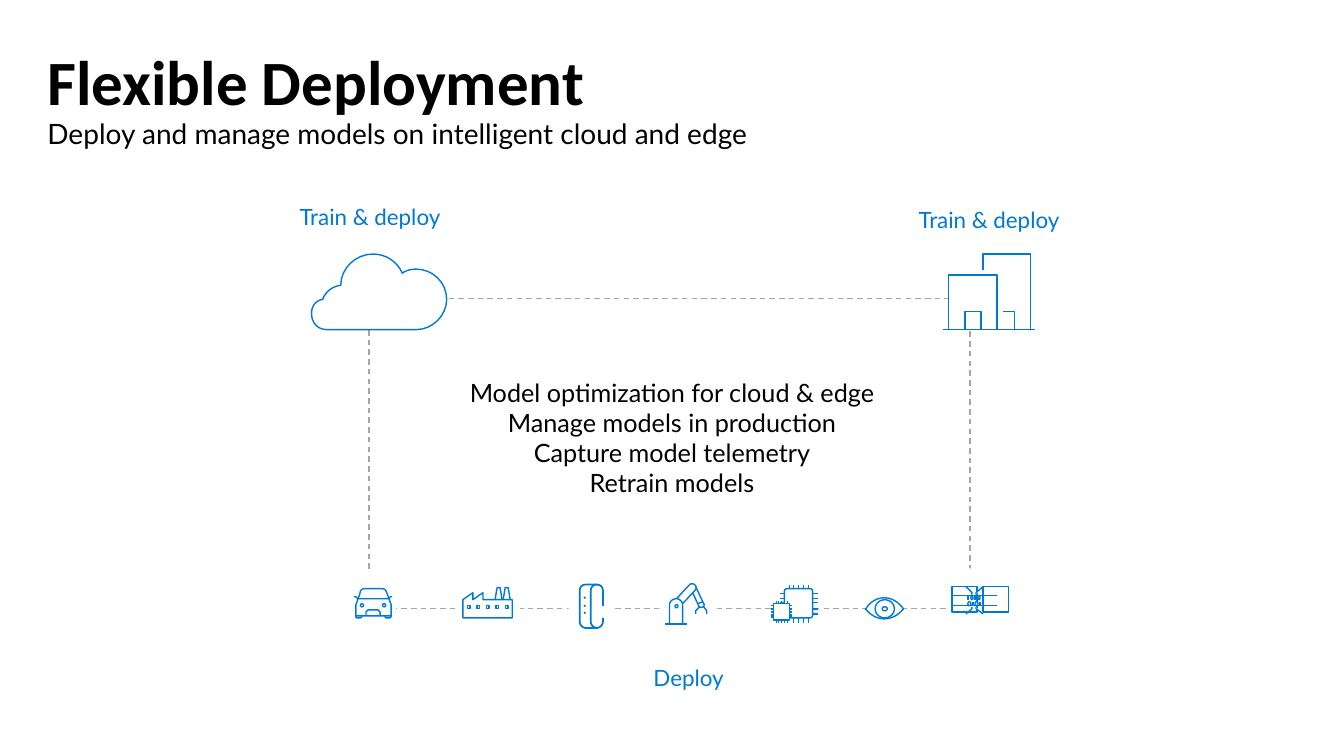
from dataclasses import dataclass

from pptx import Presentation
from pptx.dml.color import RGBColor
from pptx.enum.dml import MSO_LINE
from pptx.enum.shapes import MSO_SHAPE
from pptx.enum.text import MSO_ANCHOR, PP_ALIGN
from pptx.util import Inches, Pt


@dataclass(frozen=True)
class Theme:
    ink: RGBColor = RGBColor(0x00, 0x00, 0x00)
    paper: RGBColor = RGBColor(0xFF, 0xFF, 0xFF)
    accent: RGBColor = RGBColor(0x00, 0x78, 0xD4)
    dashes: RGBColor = RGBColor(0xA5, 0xA5, 0xA5)
    title_font: str = "Calibri"
    body_font: str = "Lato"
    title_size: int = 45
    subtitle_size: int = 20
    benefit_size: int = 18
    label_size: int = 16


THEME = Theme()

TITLE = "Flexible Deployment"
SUBTITLE = "Deploy and manage models on intelligent cloud and edge"
BENEFITS = [
    "Model optimization for cloud & edge",
    "Manage models in production",
    "Capture model telemetry",
    "Retrain models",
]
# text, (left, top, width, height) in inches
LABELS = [
    ("Train & deploy", (2.92, 2.02, 1.5, 0.27)),
    ("Train & deploy", (9.06, 2.05, 1.5, 0.27)),
    ("Deploy", (6.46, 6.59, 0.74, 0.27)),
]

DEPLOYMENT_LOOP = (3.66, 2.96, 5.96, 3.08)
# White clearings that interrupt the loop behind the device icons
CLEARINGS = [
    (3.48, 5.68, 0.45, 0.75),
    (4.55, 5.74, 0.61, 0.44),
    (5.64, 5.68, 0.46, 0.59),
    (6.54, 5.81, 0.55, 0.40),
    (8.62, 5.92, 0.33, 0.21),
    (9.39, 5.64, 0.39, 0.76),
]


# Outlines use M, L, C and Z commands, in hundredths of an inch.
def box(x, y, width, height):
    return f"M {x} {y} L {x + width} {y} L {x + width} {y + height} L {x} {y + height} Z "


def oval(cx, cy, rx, ry):
    kx, ky = 0.55 * rx, 0.55 * ry
    return (f"M {cx - rx} {cy} C {cx - rx} {cy - ky} {cx - kx} {cy - ry} {cx} {cy - ry} "
            f"C {cx + kx} {cy - ry} {cx + rx} {cy - ky} {cx + rx} {cy} "
            f"C {cx + rx} {cy + ky} {cx + kx} {cy + ry} {cx} {cy + ry} "
            f"C {cx - kx} {cy + ry} {cx - rx} {cy + ky} {cx - rx} {cy} Z ")


def upright(xs, top, bottom):
    return "".join(f"M {x} {top} L {x} {bottom} " for x in xs)


def level(ys, left, right):
    return "".join(f"M {left} {y} L {right} {y} " for y in ys)


CLOUD = [
    "M 104 75 L 15 75 C 6 75 0 68 0 59 C 0 52 4 46 11 45 C 14 37 21 32 29 31 "
    "C 29 14 44 0 61 0 C 73 0 85 7 90 19 C 94 16 99 15 104 15 "
    "C 120 15 134 28 134 45 C 134 61 120 75 104 75 Z"
]
BUILDINGS = [
    level([75], 0, 92),
    "M 40 16 L 40 0 L 87 0 L 87 75 L 40 75",
    "M 60 57 L 71 57 L 71 75",
    box(6, 21, 48, 54),
    box(22, 57, 16, 18),
]
CAR = [
    "M 37 16 L 37 27 L 2 27 L 2 16 L 6 5 C 6 2 8 0 10 0 L 28 0 C 31 0 32 2 33 5 Z "
    + oval(8, 16.5, 1.5, 1.5) + oval(30, 16.5, 1.5, 1.5)
    + "".join(f"M {x} 27 C {x} 28 {x} 29 {x + 1} 29 L {x + 4} 29 "
              f"C {x + 5} 29 {x + 6} 28 {x + 6} 27 " for x in (2, 31))
    + "M 26 27 L 26 23 L 24 21 L 14 21 L 12 23 L 12 27 "
    "M 0 8 L 2 8 L 4 10 L 35 10 L 36 8 L 38 8"
]
FACTORY = [
    "M 49 12 L 49 30 L 0 30 L 0 12 L 10 5 L 10 12 L 20 5 L 20 12 Z "
    + "".join(f"M {x} 12 L {x + 2} 0 L {x + 5} 0 L {x + 7} 12 " for x in (32, 40))
    + "".join(box(x, 18, 2.5, 2.5) for x in (4.5, 14, 23.5, 33, 42.5))
]
WEARABLE = [
    "M 23 21 L 23 6 C 23 2 20 0 17 0 C 14 0 11 2 11 6 L 11 37 "
    "C 11 40 14 43 17 43 C 20 43 23 40 23 37 L 23 33 "
    "M 17 0 L 6 0 C 3 0 0 2 0 6 L 0 37 C 0 40 3 43 6 43 L 17 43 "
    + "".join(oval(5, y, 0.2, 0.2) for y in (13, 21, 28))
]
ROBOT_ARM = [
    "M 38 23 L 41 27 L 41 30 M 34 23 L 30 27 L 30 30 "
    "M 11 15 C 7 15 4 18 4 21 L 4 40 L 17 40 L 17 21 C 17 18 14 15 11 15 Z "
    "M 0 40 L 21 40 M 32 20 L 37 18 "
    "M 17 20 L 29 7 C 31 5 31 3 29 1 C 28 0 25 0 24 1 L 11 15 "
    "M 33 22 C 34 24 36 24 37 23 C 38 23 39 21 38 20 L 30 3 M 33 22 L 27 9 "
    + oval(11, 22.5, 1.5, 1.5)
]
CHIPS = [
    "M 4 18 L 4 7 C 4 5 5 4 7 4 L 29 4 C 31 4 32 5 32 7 L 32 30 "
    "C 32 32 31 33 29 33 L 9 33 "
    + upright([9, 13, 18, 23, 28], 0, 4) + upright([13, 18, 23, 28], 33, 38)
    + level([9, 14, 18, 24, 29], 32, 37) + level([9, 14, 18], 0, 4),
    box(-7, 19, 16, 16)
    + upright([-4, -2, 1, 4, 7], 16, 19) + upright([-4, -2, 1, 4, 7], 35, 38)
    + level([21, 24, 27, 30, 32], -9, -7) + level([21, 24, 27, 30, 32], 9, 12),
]
EYE = [
    "M 1 12 C 0 11 0 11 1 11 C 2 8 9 0 19 0 C 31 0 38 11 38 11 "
    "C 38 11 31 21 19 21 C 9 21 3 14 1 12 "
    + oval(19.5, 11, 9.5, 9) + oval(19.5, 11, 2.5, 2)
]
DATA_HUB = [
    box(0, 0, 25, 25),
    box(31, 0, 25, 25),
    "M 20 20 L 20 22 L 14 27 M 14 0 L 20 6 L 20 8 "
    "M 24 20 L 24 22 L 31 27 M 31 0 L 24 6 L 24 8 "
    + level([9, 19], 0, 24) + level([9, 19], 20, 45),
    upright([16, 23], 9, 13) + oval(20, 11, 1, 2) + oval(27, 11, 1, 2),
    upright([21, 28], 15, 19) + oval(17.5, 17, 1.5, 2) + oval(24.5, 17, 1.5, 2),
]
# layers, left and top in inches, line width in points
ICONS = [
    (CLOUD, 3.09, 2.52, 1), (BUILDINGS, 9.35, 2.52, 1),
    (CAR, 3.51, 5.84, 1), (FACTORY, 4.59, 5.83, 1),
    (WEARABLE, 5.75, 5.80, 1.25), (ROBOT_ARM, 6.60, 5.79, 1),
    (CHIPS, 7.74, 5.80, 1), (EYE, 8.58, 5.93, 1), (DATA_HUB, 9.44, 5.82, 1),
]


def contours(outline, steps=8):
    """Turn an outline into (points, closed) pairs, with curves as short segments."""
    found, words = [], iter(outline.split())
    for command in words:
        if command == "Z":
            found[-1][1] = True
            continue
        numbers = [float(next(words)) for _ in range(6 if command == "C" else 2)]
        corners = list(zip(numbers[::2], numbers[1::2]))
        if command == "M":
            found.append([corners, False])
        elif command == "L":
            found[-1][0].extend(corners)
        else:
            points = found[-1][0]
            a, b, c, d = points[-1], *corners
            for step in range(1, steps + 1):
                t = step / steps
                u = 1 - t
                points.append(tuple(
                    u**3 * a[i] + 3 * u * u * t * b[i] + 3 * u * t * t * c[i] + t**3 * d[i]
                    for i in (0, 1)))
    return found


def draw_layer(slide, outline, left, top, line_width):
    builder = None
    for points, closed in contours(outline):
        placed = [(Inches(left + x / 100), Inches(top + y / 100)) for x, y in points]
        if builder is None:
            builder = slide.shapes.build_freeform(*placed[0])
        else:
            builder.move_to(*placed[0])
        builder.add_line_segments(placed[1:], close=closed)
    layer = builder.convert_to_shape()
    layer.shadow.inherit = False
    layer.fill.solid()
    layer.fill.fore_color.rgb = THEME.paper
    layer.line.color.rgb = THEME.accent
    layer.line.width = Pt(line_width)


def add_rectangle(slide, place):
    rectangle = slide.shapes.add_shape(MSO_SHAPE.RECTANGLE, *map(Inches, place))
    rectangle.shadow.inherit = False
    return rectangle


def add_text(slide, lines, place, size, color=THEME.ink, font=THEME.body_font, bold=False,
             align=PP_ALIGN.LEFT, spacing=1.0, insets=(0, 0, 0, 0)):
    frame = slide.shapes.add_textbox(*map(Inches, place)).text_frame
    frame.word_wrap = True
    frame.vertical_anchor = MSO_ANCHOR.TOP
    (frame.margin_left, frame.margin_top,
     frame.margin_right, frame.margin_bottom) = map(Inches, insets)
    frame.text = "\n".join(lines)
    for paragraph in frame.paragraphs:
        paragraph.alignment = align
        paragraph.line_spacing = spacing
        for run in paragraph.runs:
            run.font.name, run.font.size, run.font.bold = font, Pt(size), bold
            run.font.color.rgb = color


def main():
    deck = Presentation()
    deck.slide_width, deck.slide_height = Inches(13.33), Inches(7.5)
    slide = deck.slides.add_slide(deck.slide_layouts[6])

    loop = add_rectangle(slide, DEPLOYMENT_LOOP)
    loop.fill.background()
    loop.line.color.rgb = THEME.dashes
    loop.line.width = Pt(1)
    loop.line.dash_style = MSO_LINE.DASH
    for place in CLEARINGS:
        clearing = add_rectangle(slide, place)
        clearing.fill.solid()
        clearing.fill.fore_color.rgb = THEME.paper
        clearing.line.fill.background()

    add_text(slide, [TITLE], (0.47, 0.33, 12.4, 0.83), THEME.title_size,
             font=THEME.title_font, bold=True, spacing=0.9, insets=(0, 0.18, 0, 0))
    add_text(slide, [SUBTITLE], (0.47, 1.19, 12.4, 0.3), THEME.subtitle_size, spacing=0.9)
    for label, place in LABELS:
        add_text(slide, [label], place, THEME.label_size, THEME.accent, align=PP_ALIGN.CENTER)
    add_text(slide, BENEFITS, (4.39, 3.69, 4.55, 1.34), THEME.benefit_size,
             align=PP_ALIGN.CENTER, insets=(0.1, 0.05, 0.1, 0.05))

    for layers, left, top, line_width in ICONS:
        for outline in layers:
            draw_layer(slide, outline, left, top, line_width)

    deck.save("out.pptx")


if __name__ == "__main__":
    main()
